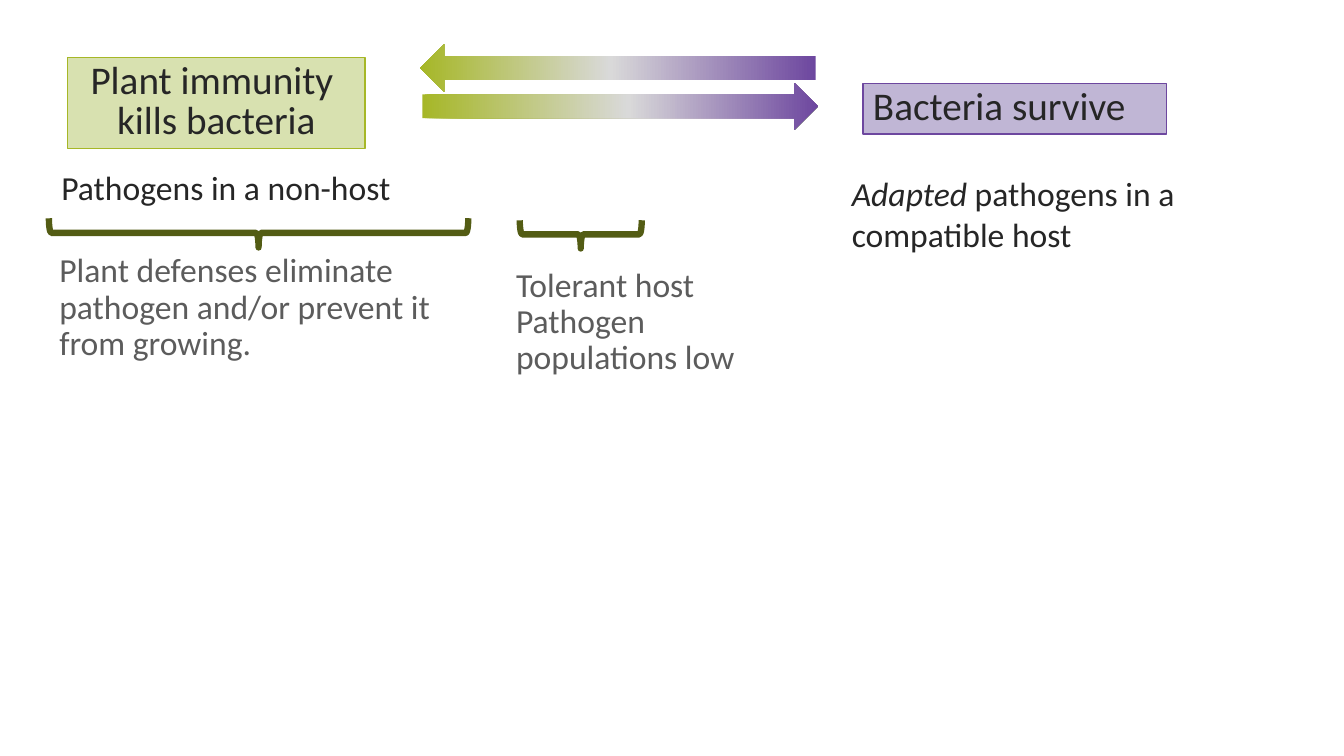
from copy import deepcopy

from pptx import Presentation
from pptx.dml.color import RGBColor
from pptx.enum.shapes import MSO_SHAPE
from pptx.enum.text import MSO_ANCHOR, PP_ALIGN
from pptx.util import Inches, Pt

RECTANGLE = MSO_SHAPE.RECTANGLE
RIGHT_ARROW = MSO_SHAPE.RIGHT_ARROW
LEFT_BRACE = MSO_SHAPE.LEFT_BRACE
TOP = MSO_ANCHOR.TOP
LEFT, CENTER = PP_ALIGN.LEFT, PP_ALIGN.CENTER

FONT = "Calibri"
COLORS = {
    "dark": "262626",
    "gray": "5C5C5C",
    "silver": "D9D9D9",
    "green": "A6B727",
    "pale green": "D8E1B0",
    "olive": "535C14",
    "purple": "6D479F",
    "pale purple": "C0B6D5",
}


def color(name):
    return RGBColor.from_string(COLORS[name])


def write_text(shape, paragraphs, size=24, ink="dark", align=LEFT, spacing=1.0):
    """Fill a shape with paragraphs, each a list of (text, italic) runs."""
    frame = shape.text_frame
    frame.word_wrap = True
    frame.vertical_anchor = TOP
    for index, runs in enumerate(paragraphs):
        paragraph = frame.add_paragraph() if index else frame.paragraphs[0]
        paragraph.alignment = align
        paragraph.line_spacing = spacing
        paragraph.font.name = FONT
        paragraph.font.size = Pt(size)
        paragraph.font.color.rgb = color(ink)
        for line_number, (text, italic) in enumerate(runs):
            for part_number, part in enumerate(text.split("\n")):
                if part_number:
                    paragraph.add_line_break()
                run = paragraph.add_run()
                run.text = part
                run.font.name = FONT
                run.font.size = Pt(size)
                run.font.italic = italic
                run.font.color.rgb = color(ink)


def add_note(slide, box, paragraphs, **text_format):
    shape = slide.shapes.add_textbox(*map(Inches, box))
    write_text(shape, paragraphs, **text_format)


def add_plain_shape(slide, kind, box):
    shape = slide.shapes.add_shape(kind, *map(Inches, box))
    shape.shadow.inherit = False
    return shape


def add_outcome(slide, box, text, fill, line, align=LEFT):
    shape = add_plain_shape(slide, RECTANGLE, box)
    shape.fill.solid()
    shape.fill.fore_color.rgb = color(fill)
    shape.line.color.rgb = color(line)
    shape.line.width = Pt(0.79)
    write_text(shape, [[(text, False)]], size=28, align=align, spacing=0.85)


def add_gradient_arrow(slide, left, top, tail, head, rotation=0):
    arrow = add_plain_shape(slide, RIGHT_ARROW, (left, top, 3.92, 0.47))
    arrow.rotation = rotation
    arrow.line.fill.background()
    arrow.fill.gradient()
    arrow.fill.gradient_angle = 0
    first_stop = arrow._element.xpath(".//a:gs")[0]
    first_stop.addnext(deepcopy(first_stop))
    stops = ((0, tail), (0.52, "silver"), (1, head))
    for stop, (position, name) in zip(arrow.fill.gradient_stops, stops):
        stop.position = position
        stop.color.rgb = color(name)


def add_brace(slide, box):
    """Draw a brace whose point faces down; box is given before rotation."""
    brace = add_plain_shape(slide, LEFT_BRACE, box)
    brace.rotation = 270
    brace.fill.background()
    brace.line.color.rgb = color("olive")
    brace.line.width = Pt(4.5)


def main():
    presentation = Presentation()
    presentation.slide_width = Inches(13.33)
    presentation.slide_height = Inches(7.5)
    slide = presentation.slides.add_slide(presentation.slide_layouts[6])

    add_note(slide, (0.49, 2.47, 4.36, 0.74),
             [[("Plant defenses eliminate pathogen and/or prevent it from growing.", False)]],
             ink="gray", spacing=0.9)
    add_gradient_arrow(slide, 4.19, 0.82, "green", "purple")
    add_gradient_arrow(slide, 4.17, 0.44, "purple", "green", rotation=180)
    add_note(slide, (8.35, 1.67, 3.43, 0.91),
             [[("Adapted", True), (" pathogens in a compatible host", False)]])
    add_note(slide, (0.51, 1.67, 3.89, 0.44),
             [[("Pathogens in a non-host", False)]], spacing=0.85)
    add_outcome(slide, (8.56, 0.83, 3.01, 0.5), "Bacteria survive",
                "pale purple", "purple")
    add_outcome(slide, (0.67, 0.57, 2.95, 0.9), "Plant immunity \nkills bacteria",
                "pale green", "green", align=CENTER)
    add_brace(slide, (2.42, 0.23, 0.29, 4.16))
    add_brace(slide, (5.62, 1.72, 0.28, 1.21))
    add_note(slide, (5.02, 2.61, 2.58, 0.74),
             [[("Tolerant host", False)], [("Pathogen populations low", False)]],
             ink="gray", spacing=0.9)

    presentation.save("out.pptx")


if __name__ == "__main__":
    main()
